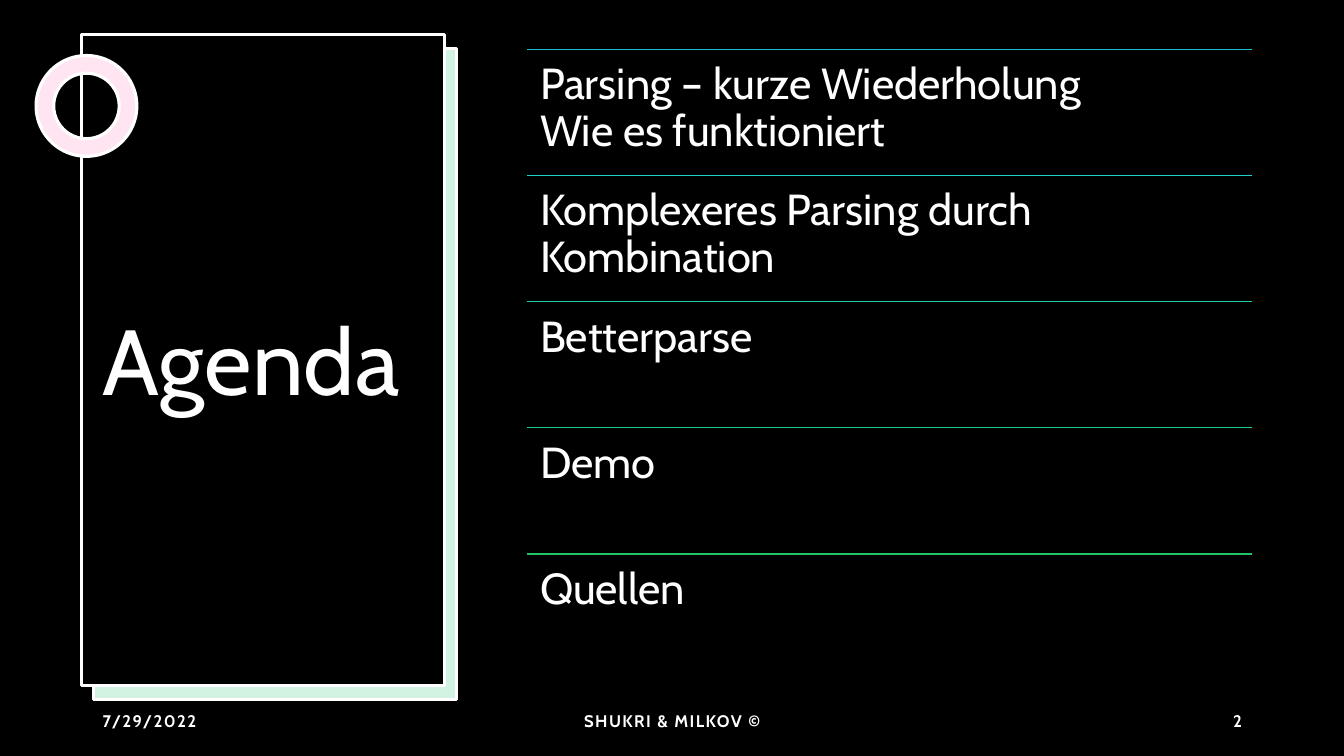
import pptx
import pptx.dml.color
import pptx.enum.shapes
import pptx.enum.text
import pptx.oxml
import pptx.oxml.ns
import pptx.util
from pptx.util import Cm

FONT = "Cabin"
COLORS = {"black": "000000", "white": "FFFFFF", "green": "21C46B", "pink": "FF80BD"}
AGENDA = [
    ("Parsing – kurze Wiederholung\nWie es funktioniert", "1EB9D3"),
    ("Komplexeres Parsing durch Kombination", "1FCFCA"),
    ("Betterparse", "20CBA9"),
    ("Demo", "20C889"),
    ("Quellen", "21C46B"),
]
ALIGN = pptx.enum.text.PP_ALIGN
ANCHOR = pptx.enum.text.MSO_ANCHOR
SHAPE = pptx.enum.shapes.MSO_SHAPE


def rgb(value):
    return pptx.dml.color.RGBColor.from_string(value)


def add_figure(slide, kind, box, fill, opacity=100, outlined=True):
    figure = slide.shapes.add_shape(kind, *map(Cm, box))
    figure.shadow.inherit = False
    figure.fill.solid()
    figure.fill.fore_color.rgb = rgb(fill)
    if opacity < 100:
        color = figure.fill._xPr.find(".//" + pptx.oxml.ns.qn("a:srgbClr"))
        alpha = pptx.oxml.parse_xml(
            f'<a:alpha {pptx.oxml.ns.nsdecls("a")} val="{opacity * 1000}"/>')
        color.append(alpha)
    if outlined:
        figure.line.color.rgb = rgb(COLORS["white"])
        figure.line.width = pptx.util.Pt(2.25)
    else:
        figure.line.fill.background()
    return figure


def add_tinted(slide, kind, box, tint):
    """White base under a 20 % tint, so nothing behind shows through."""
    base = add_figure(slide, kind, box, COLORS["white"], outlined=False)
    return base, add_figure(slide, kind, box, tint, opacity=20)


def add_label(slide, text, box, size, anchor=ANCHOR.MIDDLE, align=ALIGN.LEFT,
              bold=False, line_spacing=None, spacing=0, inset=None):
    frame = slide.shapes.add_textbox(*map(Cm, box)).text_frame
    frame.word_wrap = True
    frame.vertical_anchor = anchor
    if inset is not None:
        frame.margin_left = frame.margin_right = Cm(inset)
        frame.margin_top = frame.margin_bottom = Cm(inset)
    paragraph = frame.paragraphs[0]
    paragraph.text = text
    paragraph.alignment = align
    paragraph.line_spacing = line_spacing
    for run in paragraph.runs:
        run.font.name = FONT
        run.font.size = pptx.util.Pt(size)
        run.font.bold = bold
        run.font.color.rgb = rgb(COLORS["white"])
        if spacing:
            run._r.get_or_add_rPr().set("spc", str(spacing * 100))


def add_rule(slide, left, top, width, color):
    rule = slide.shapes.add_connector(
        pptx.enum.shapes.MSO_CONNECTOR.STRAIGHT,
        Cm(left), Cm(top), Cm(left + width), Cm(top))
    rule.line.color.rgb = rgb(color)
    rule.line.width = pptx.util.Pt(1)
    rule._element.spPr.append(
        pptx.oxml.parse_xml(f'<a:effectLst {pptx.oxml.ns.nsdecls("a")}/>'))


def add_title_panel(slide):
    left, top, width, height = 2.06, 0.86, 9.14, 16.41
    add_tinted(slide, SHAPE.RECTANGLE, (left + 0.3, top + 0.36, width, height),
               COLORS["green"])
    add_figure(slide, SHAPE.RECTANGLE, (left, top, width, height), COLORS["black"])
    for ring in add_tinted(slide, SHAPE.DONUT, (0.91, 1.4, 2.54, 2.54), COLORS["pink"]):
        ring.adjustments[0] = 0.175
    add_label(slide, "Agenda", (2.34, 3.33, 8.64, 11.76), 66, line_spacing=0.9)


def add_agenda(slide):
    left, first_top, width, pitch = 13.28, 1.24, 18.26, 3.18
    for row, (topic, color) in enumerate(AGENDA):
        top = first_top + row * pitch
        add_rule(slide, left, top, width, color)
        add_label(slide, topic, (left, top, width, pitch), 31, anchor=ANCHOR.TOP,
                  line_spacing=0.9, inset=0.33)


def add_footer(slide):
    for text, left, width, align in [
        ("7/29/2022", 2.34, 7.62, ALIGN.LEFT),
        ("SHUKRI & MILKOV ©", 11.23, 11.43, ALIGN.CENTER),
        ("2", 23.93, 7.62, ALIGN.RIGHT),
    ]:
        add_label(slide, text, (left, 17.65, width, 1.02), 12, align=align,
                  bold=True, spacing=1)


def main():
    deck = pptx.Presentation()
    deck.slide_width, deck.slide_height = Cm(33.87), Cm(19.05)
    slide = deck.slides.add_slide(deck.slide_layouts[6])
    slide.background.fill.solid()
    slide.background.fill.fore_color.rgb = rgb(COLORS["black"])

    add_title_panel(slide)
    add_footer(slide)
    add_agenda(slide)
    deck.save("out.pptx")


if __name__ == "__main__":
    main()
